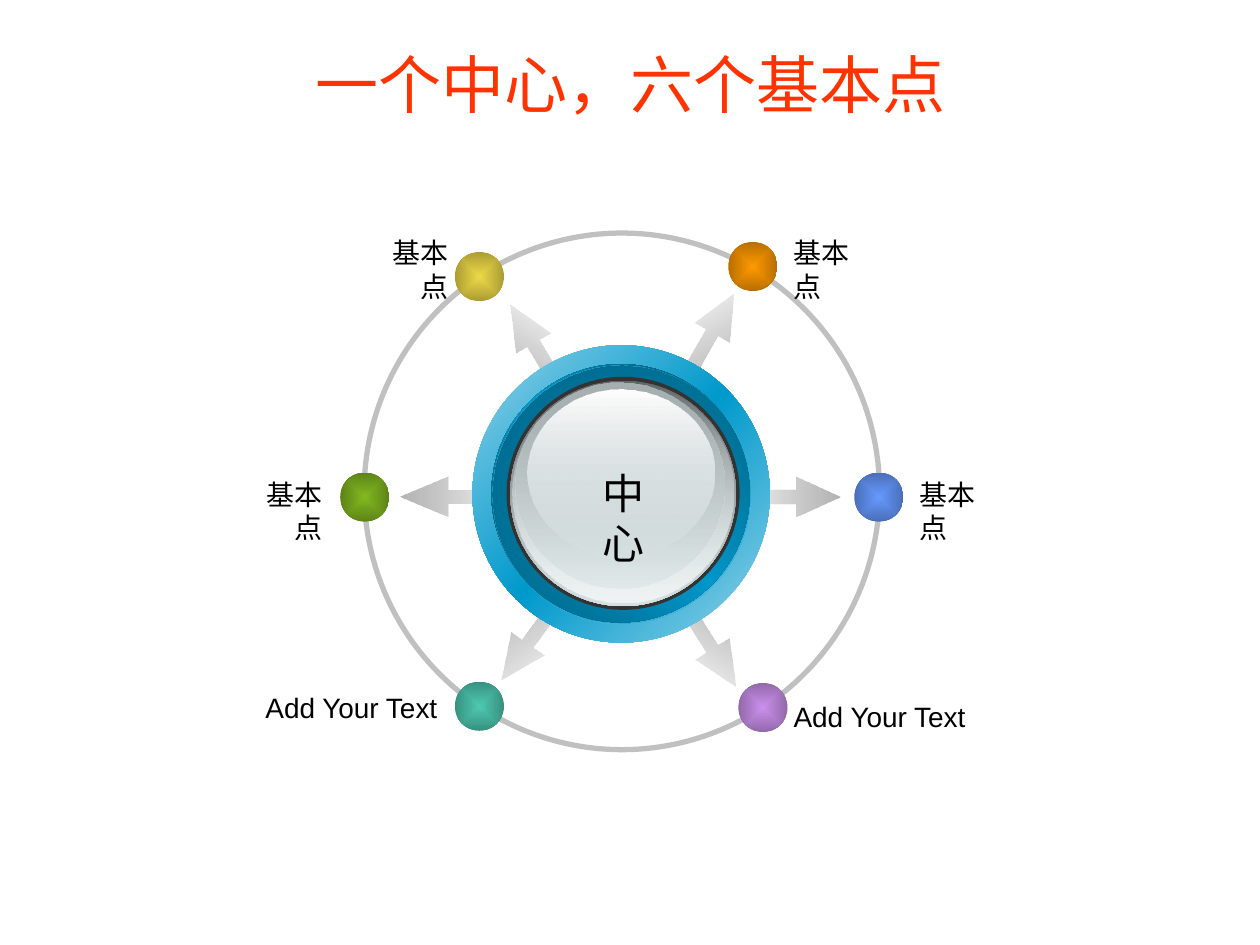
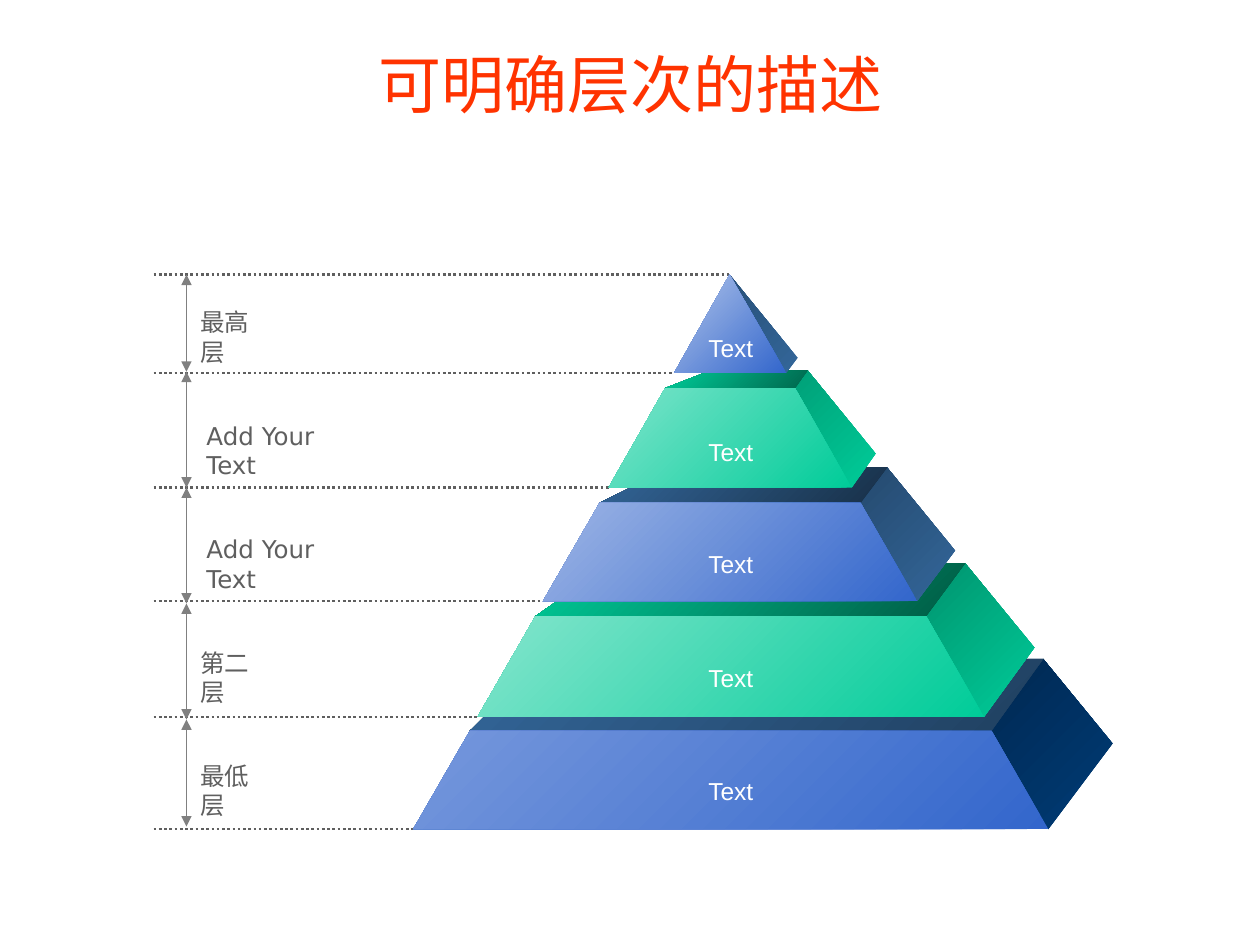
from lxml.etree import SubElement
from pptx import Presentation
from pptx.dml.color import RGBColor
from pptx.enum.dml import MSO_LINE
from pptx.enum.shapes import MSO_CONNECTOR, MSO_SHAPE
from pptx.enum.text import MSO_ANCHOR, PP_ALIGN
from pptx.oxml.ns import qn
from pptx.util import Emu, Pt

PX = 9144  # 100 px to the inch

COLORS = {
    "title": "FF3300", "text": "000000", "white": "FFFFFF", "ring": "C0C0C0",
    "rim": "333333", "label": "5F5F5F", "measure": "808080",
}
# Evenly spaced stops; a number after the slash is the opacity in percent.
GRADIENTS = {
    "arrow": "B2B2B2 9D9D9D/0",
    "teal": "4DC9B1 37917F", "violet": "CB90EC 9268AA", "blue": "6699FF 496EB8",
    "orange": "FF9900 B86E00", "yellow": "EDD947 AB9C33", "green": "82B820 5D8417",
    "hub edge": "92D2E8 0099CC 92D2E8", "hub groove": "00526D 0099CC 00526D",
    "hub shade": "0099CC/0 006081", "button": "626768 D6E1E2",
    "button glow": "D6E1E2/0 EFF3F3", "button dome": "A8B1B2 D6E1E2/48",
    "button shine": "FEFEFE D6E1E2/38",
    "front 1": "3366CC B0C4EA", "side 1": "336699 285078",
    "front 2": "00CC99 7EE4CB", "side 2": "00CC99 00A078", "roof 2": "00674D 00CC99",
    "front 3": "3366CC 9DB5E5", "side 3": "336699 254A6F", "roof 3": "183048 336699",
    "front 4": "00CC99 85E5CD", "side 4": "00CC99 00946F", "roof 4": "005A43 00CC99",
    "front 5": "3366CC 7698DC", "side 5": "003B76 002952", "roof 5": "204060 336699",
}

# left, top, colour
NODES = [
    (361, 541, "teal"), (586, 542, "violet"), (678, 375, "blue"),
    (578, 192, "orange"), (361, 200, "yellow"), (270, 375, "green"),
]
# left, top, width, rotation
SPOKES = [
    (517, 255, 87, 299.6), (517, 492, 87, 57.8), (384, 263, 87, 239.5),
    (380, 488, 87, 125.6), (580, 378, 87, 0), (317, 378, 94, 180),
]
# left, top, width, text, alignment
NODE_LABELS = [
    (620, 182, 86, "基本点", PP_ALIGN.LEFT), (280, 182, 86, "基本点", PP_ALIGN.RIGHT),
    (720, 374, 86, "基本点", PP_ALIGN.LEFT), (620, 550, 161, "Add Your Text", PP_ALIGN.LEFT),
    (180, 374, 86, "基本点", PP_ALIGN.RIGHT), (196, 543, 161, "Add Your Text", PP_ALIGN.RIGHT),
]
# left, top, width, height, gradient, angle
HUB_BASE = [
    (375, 274, 236, 236, "hub edge", 225), (390, 289, 205, 205, "hub groove", 135),
    (391, 290, 205, 205, "hub shade", 225),
]
HUB_BUTTON = [
    (405, 302, 179, 179, "button", 90), (407, 303, 175, 175, "button glow", 90),
    (409, 304, 166, 163, "button dome", 90), (419, 309, 148, 132, "button shine", 90),
]

APEX_X, APEX_Y = 579, 218
# front top, front bottom, back top, back bottom, left end of the roof, text top
TIERS = [
    (218, 296, 218, 284, None, 259), (308, 387, 294, 360, 564, 342),
    (399, 477, 371, 437, 533, 431), (489, 569, 447, 514, 485, 521),
    (580, 658, 523, 590, 431, 611),
]
TIER_LABELS = ["最高层", "Add Your Text", "Add Your Text", "第二层", "最低层"]
MEASURE_LEVELS = [218, 295, 387, 479, 571, 656]


def px(*lengths):
    return [Emu(length * PX) for length in lengths]


def rgb(name):
    return RGBColor.from_string(COLORS[name])


def fill_gradient(shape, name, angle=None):
    """Fill along an angle fixed to the page, or outward from the centre without one."""
    shape.fill.background()
    properties = shape._element.spPr
    old_fill = properties.find(qn("a:noFill"))
    gradient = SubElement(properties, qn("a:gradFill"), rotWithShape="0")
    properties.replace(old_fill, gradient)
    stops = GRADIENTS[name].split()
    stop_list = SubElement(gradient, qn("a:gsLst"))
    for index, stop in enumerate(stops):
        color, _, opacity = stop.partition("/")
        position = index * 100000 // (len(stops) - 1)
        mark = SubElement(stop_list, qn("a:gs"), pos=str(position))
        tint = SubElement(mark, qn("a:srgbClr"), val=color)
        if opacity:
            SubElement(tint, qn("a:alpha"), val=str(int(opacity) * 1000))
    if angle is None:
        center = SubElement(gradient, qn("a:path"), path="rect")
        SubElement(center, qn("a:fillToRect"), l="50000", t="50000", r="50000", b="50000")
    else:
        SubElement(gradient, qn("a:lin"), ang=str(round(angle % 360 * 60000)), scaled="0")


def add_plain_shape(page, kind, left, top, width, height):
    shape = page.shapes.add_shape(kind, *px(left, top, width, height))
    shape.shadow.inherit = False
    shape.line.fill.background()
    return shape


def add_ball(page, left, top, width, height, gradient, angle=None):
    ball = add_plain_shape(page, MSO_SHAPE.OVAL, left, top, width, height)
    fill_gradient(ball, gradient, angle)


def add_spoke(page, left, top, width, rotation):
    spoke = add_plain_shape(page, MSO_SHAPE.RIGHT_ARROW, left, top, width, 32)
    spoke.adjustments[0] = 0.35
    spoke.adjustments[1] = 1.21 if width > 90 else 1.11
    spoke.rotation = rotation
    fill_gradient(spoke, "arrow", 180 - rotation)


def add_face(page, points, gradient):
    """Draw one flat face of the pyramid."""
    start, *others = [(round(x), y) for x, y in points]
    builder = page.shapes.build_freeform(*start, scale=PX)
    builder.add_line_segments(others, close=True)
    face = builder.convert_to_shape()
    face.shadow.inherit = False
    face.line.fill.background()
    fill_gradient(face, gradient, 225)


def add_line(page, start, end, color, width, dash=None, arrows=False):
    line = page.shapes.add_connector(MSO_CONNECTOR.STRAIGHT, *px(*start, *end))
    line.line.color.rgb = rgb(color)
    line.line.width = Pt(width)
    if dash:
        line.line.dash_style = dash
    if arrows:
        outline = line.line._get_or_add_ln()
        for tag in ("a:headEnd", "a:tailEnd"):
            SubElement(outline, qn(tag), type="triangle")
    SubElement(line._element.spPr, qn("a:effectLst"))


def write_text(frame, text, size, color, font="Arial", align=PP_ALIGN.LEFT):
    para = frame.paragraphs[0]
    para.alignment = align
    span = para.add_run()
    span.text = text
    span.font.size = Pt(size)
    span.font.name = font
    span.font.color.rgb = rgb(color)


def add_text(page, left, top, width, height, text, wrap=False, **style):
    box = page.shapes.add_textbox(*px(left, top, width, height))
    box.text_frame.word_wrap = wrap
    write_text(box.text_frame, text, **style)


def add_page(deck, title):
    page = deck.slides.add_slide(deck.slide_layouts[5])
    box = page.shapes.title
    box.left, box.top, box.width, box.height = px(0, 25, 1000, 83)
    box.text_frame.vertical_anchor = MSO_ANCHOR.MIDDLE
    write_text(box.text_frame, title, size=36, color="title", align=PP_ALIGN.CENTER)
    return page


def build_hub_page(deck):
    page = add_page(deck, "一个中心，六个基本点")
    for spoke in SPOKES:
        add_spoke(page, *spoke)
    ring = add_plain_shape(page, MSO_SHAPE.OVAL, 289, 185, 409, 410)
    ring.fill.background()
    ring.line.color.rgb = rgb("ring")
    ring.line.width = Pt(3)
    for left, top, width, text, align in NODE_LABELS:
        add_text(page, left, top, width, 37, text, size=16, color="text", align=align)
    for left, top, gradient in NODES:
        add_ball(page, left, top, 39, 39, gradient)
    for layer in HUB_BASE:
        add_ball(page, *layer)
    rim = add_plain_shape(page, MSO_SHAPE.OVAL, 402, 299, 185, 185)
    rim.fill.solid()
    rim.fill.fore_color.rgb = rgb("rim")
    for layer in HUB_BUTTON:
        add_ball(page, *layer)
    add_text(page, 452, 366, 86, 50, "中心", size=24, color="text", align=PP_ALIGN.CENTER)


def edge_point(y, slope):
    """Point at height y on a pyramid edge that runs down from the apex."""
    return APEX_X + slope * (y - APEX_Y), y


def left_edge(y):
    return edge_point(y, -0.57)


def right_edge(y):
    return edge_point(y, 0.575)


def back_edge(y):
    return edge_point(y, 0.817)


def add_tier(page, number, top, bottom, back_top, back_bottom, roof_left):
    side = [right_edge(bottom), right_edge(top), back_edge(back_top), back_edge(back_bottom)]
    add_face(page, side, f"side {number}")
    if roof_left:
        roof = [left_edge(top), right_edge(top), back_edge(back_top), (roof_left, back_top)]
        add_face(page, roof, f"roof {number}")
    front = [left_edge(top), right_edge(top), right_edge(bottom), left_edge(bottom)]
    add_face(page, front, f"front {number}")


def build_pyramid_page(deck):
    page = add_page(deck, "可明确层次的描述")
    for level in [APEX_Y] + [tier[1] for tier in TIERS]:
        end_x, _ = left_edge(level)
        add_line(page, (122, level), (round(end_x), level), "label", 1.5,
                 dash=MSO_LINE.ROUND_DOT)
    for upper, lower in zip(MEASURE_LEVELS, MEASURE_LEVELS[1:]):
        add_line(page, (148, upper), (148, lower), "measure", 0.75, arrows=True)
    for index, label in enumerate(TIER_LABELS):
        is_long = len(label) > 3
        left, width = (154, 148) if is_long else (149, 78)
        add_text(page, left, 239 + 90 * index, width, 34, label, wrap=is_long,
                 size=14, color="label", font="DejaVu Sans")
    for number in range(len(TIERS), 0, -1):
        *outline, _ = TIERS[number - 1]
        add_tier(page, number, *outline)
    for *_, text_top in TIERS:
        add_text(page, 551, text_top, 58, 34, "Text", size=14, color="white",
                 align=PP_ALIGN.CENTER)


def main():
    deck = Presentation()
    deck.slide_width, deck.slide_height = px(1000, 750)
    build_hub_page(deck)
    build_pyramid_page(deck)
    deck.save("out.pptx")


if __name__ == "__main__":
    main()
